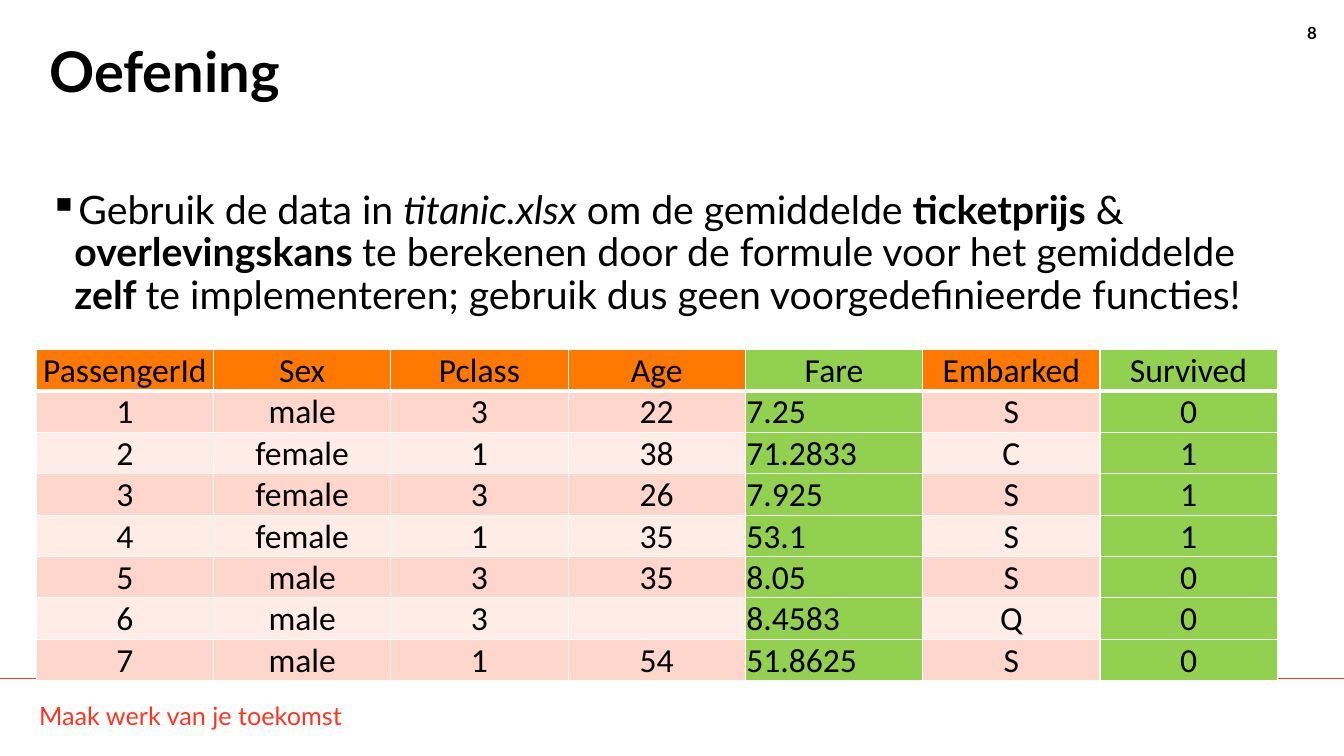
"""Build the exercise slide about averages in the Titanic data."""
from lxml import etree
from pptx import Presentation
from pptx.dml.color import RGBColor
from pptx.enum.shapes import MSO_CONNECTOR
from pptx.enum.text import MSO_ANCHOR, PP_ALIGN
from pptx.oxml.ns import qn
from pptx.util import Pt

PX = 9144
LEFT, CENTER, RIGHT = PP_ALIGN.LEFT, PP_ALIGN.CENTER, PP_ALIGN.RIGHT
BOTTOM = MSO_ANCHOR.BOTTOM
STRAIGHT = MSO_CONNECTOR.STRAIGHT

THEME = {
    "font": "Lato", "table_font": "Calibri",
    "text": "000000", "accent": "FF3521", "border": "FFFFFF",
    "header": "FF7800", "highlight": "92D050", "bands": ("FFD6CC", "FFECE7"),
    "title": 40, "body": 28, "table": 24, "footer": 18, "number": 12,
}


def add_span(para, text, size, color=THEME["text"], font=THEME["font"], bold=False, italic=False):
    span = para.add_run()
    span.text = text
    span.font.color.rgb = RGBColor.from_string(color)
    values = {"name": font, "size": Pt(size), "bold": bold, "italic": italic}
    for name, value in values.items():
        setattr(span.font, name, value)


def add_box(page, left, top, width, height, align=LEFT):
    box = page.shapes.add_textbox(left * PX, top * PX, width * PX, height * PX)
    box.text_frame.word_wrap = True
    para = box.text_frame.paragraphs[0]
    para.alignment = align
    return para


deck = Presentation()
deck.slide_width, deck.slide_height = 1333 * PX, 750 * PX
page = deck.slides.add_slide(deck.slide_layouts[6])

footer = add_box(page, 29, 690, 850, 40)
add_span(footer, "Maak werk van je toekomst", THEME["footer"], THEME["accent"])

rule = page.shapes.add_connector(STRAIGHT, 0, 673 * PX, 1333 * PX, 673 * PX)
rule.line.color.rgb = RGBColor.from_string(THEME["accent"])
rule.line.width = Pt(0.5)
etree.SubElement(rule._element.spPr, qn("a:effectLst"))

number = add_box(page, 1267, 18, 49, 30, RIGHT)
add_span(number, "8", THEME["number"], bold=True)

title = add_box(page, 39, 39, 1228, 145)
title.line_spacing = 0.9
add_span(title, "Oefening", THEME["title"], bold=True)

body = add_box(page, 39, 184, 1231, 421)
body.line_spacing = 0.9
body.space_before = Pt(10)
indent = body._p.get_or_add_pPr()
indent.set("marL", str(25 * PX))
indent.set("indent", str(-25 * PX))
etree.SubElement(indent, qn("a:buChar"), char="▪")
for text, style in [
    ("Gebruik de data in ", {}),
    ("titanic.xlsx", {"italic": True}),
    (" om de gemiddelde ", {}),
    ("ticketprijs", {"bold": True}),
    (" & ", {}),
    ("overlevingskans ", {"bold": True}),
    ("te berekenen door de formule voor het gemiddelde ", {}),
    ("zelf ", {"bold": True}),
    ("te implementeren; gebruik dus geen voorgedefinieerde functies!", {}),
]:
    add_span(body, text, THEME["body"], **style)

PASSENGERS = [
    ("PassengerId", "Sex", "Pclass", "Age", "Fare", "Embarked", "Survived"),
    ("1", "male", "3", "22", "7.25", "S", "0"),
    ("2", "female", "1", "38", "71.2833", "C", "1"),
    ("3", "female", "3", "26", "7.925", "S", "1"),
    ("4", "female", "1", "35", "53.1", "S", "1"),
    ("5", "male", "3", "35", "8.05", "S", "0"),
    ("6", "male", "3", "", "8.4583", "Q", "0"),
    ("7", "male", "1", "54", "51.8625", "S", "0"),
]
FARE, SURVIVED = 4, 6
CELL_FORMAT = {
    "vertical_anchor": BOTTOM, "margin_left": PX, "margin_top": PX,
    "margin_right": PX, "margin_bottom": 0,
}

table = page.shapes.add_table(
    len(PASSENGERS), len(PASSENGERS[0]), 36 * PX, 347 * PX, 1231 * PX, 326 * PX).table
for row, passenger in enumerate(PASSENGERS):
    for column, text in enumerate(passenger):
        cell = table.cell(row, column)
        for name, value in CELL_FORMAT.items():
            setattr(cell, name, value)

        thick_side = {0: "lnB", 1: "lnT"}.get(row)
        for side in ("lnL", "lnR", "lnT", "lnB"):
            width = Pt(3 if side == thick_side else 1)
            border = etree.SubElement(cell._tc.get_or_add_tcPr(), qn(f"a:{side}"), w=str(width))
            paint = etree.SubElement(border, qn("a:solidFill"))
            etree.SubElement(paint, qn("a:srgbClr"), val=THEME["border"])

        if column in (FARE, SURVIVED):
            color = THEME["highlight"]
        elif row == 0:
            color = THEME["header"]
        else:
            color = THEME["bands"][(row - 1) % 2]
        cell.fill.solid()
        cell.fill.fore_color.rgb = RGBColor.from_string(color)

        para = cell.text_frame.paragraphs[0]
        para.alignment = LEFT if row and column == FARE else CENTER
        if text:
            add_span(para, text, THEME["table"], font=THEME["table_font"])

deck.save("out.pptx")
